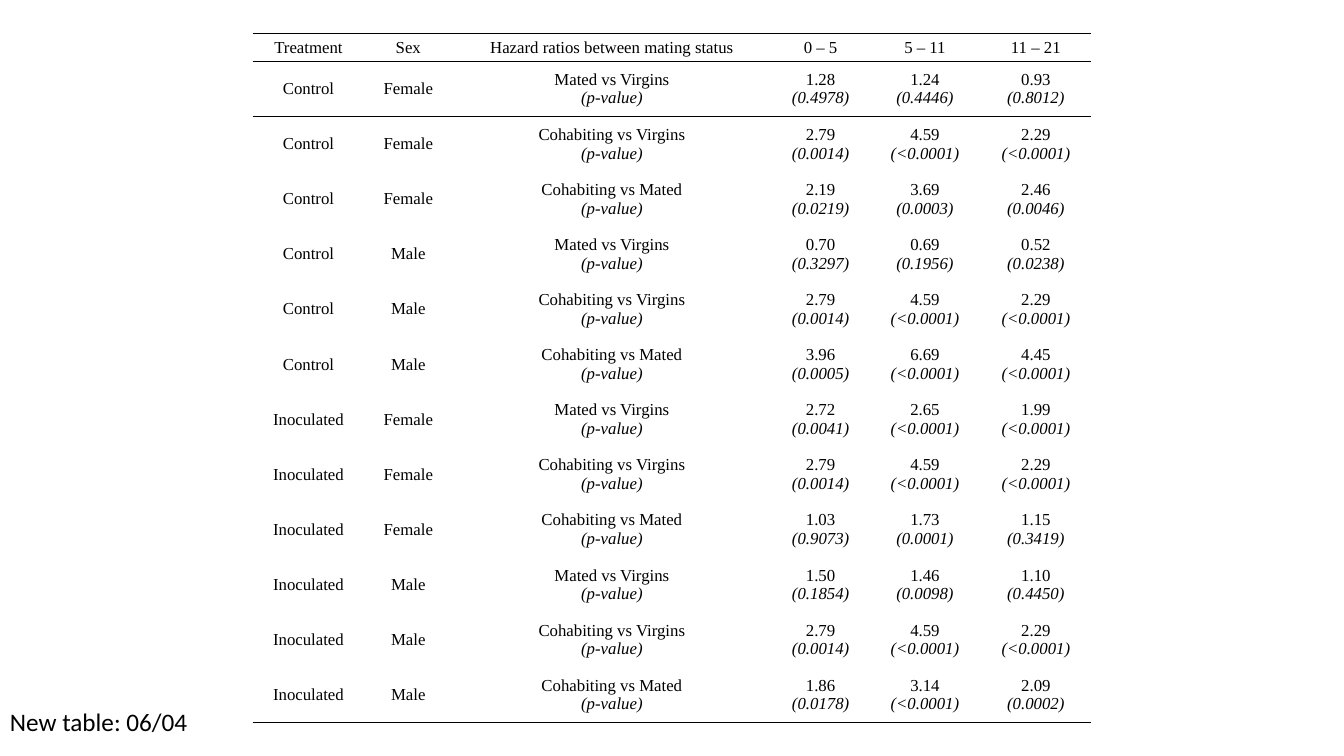
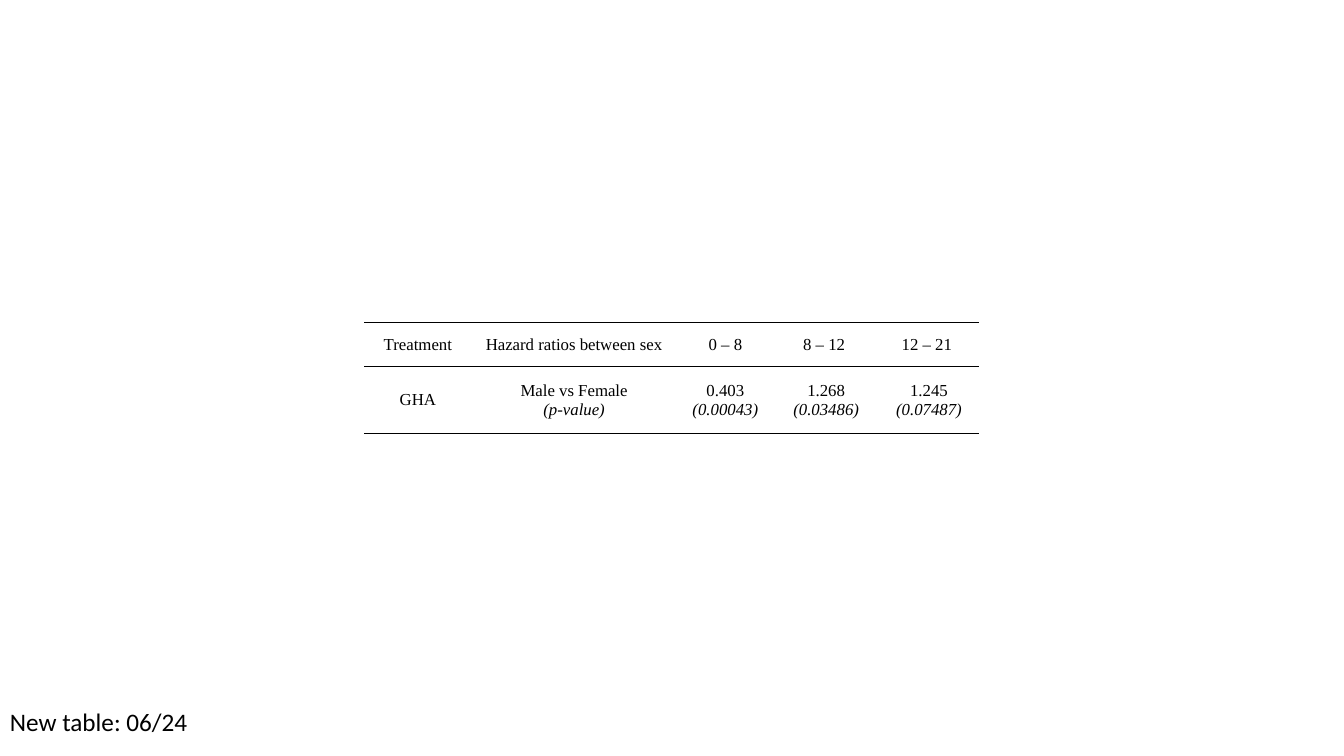
import pptx
import pptx.util
import pptx.dml.color
import pptx.enum.text
import pptx.oxml.ns
import lxml.etree
from dataclasses import dataclass

Inches, Pt = pptx.util.Inches, pptx.util.Pt


@dataclass(frozen=True)
class Theme:
    ink: str = "000000"
    table_font: str = "Times New Roman"
    table_size: int = 12
    caption_font: str = "Calibri"
    caption_size: int = 18
    rule_width: int = 1
    plain_table: str = "{2D5ABB26-0587-4C30-8999-92F81FD0307C}"


THEME = Theme()
SLIDE_W, SLIDE_H = 13.33, 7.5
CAPTION_BOX = (0, 6.96, 1.98, 0.4)
TIGHT, MEDIUM, WIDE = (0.05, 0.02), (0.07, 0.04), (0.1, 0.05)  # side, top/bottom

# Content: each result is a hazard ratio with its p-value
MATED, VIRGINS, COUPLES = "Mated vs Virgins", "Cohabiting vs Virgins", "Cohabiting vs Mated"
COHABITING_RESULTS = [("2.79", "0.0014"), ("4.59", "<0.0001"), ("2.29", "<0.0001")]

MATING_ROWS = [
    ("Control", "Female", MATED, [("1.28", "0.4978"), ("1.24", "0.4446"), ("0.93", "0.8012")]),
    ("Control", "Female", VIRGINS, COHABITING_RESULTS),
    ("Control", "Female", COUPLES, [("2.19", "0.0219"), ("3.69", "0.0003"), ("2.46", "0.0046")]),
    ("Control", "Male", MATED, [("0.70", "0.3297"), ("0.69", "0.1956"), ("0.52", "0.0238")]),
    ("Control", "Male", VIRGINS, COHABITING_RESULTS),
    ("Control", "Male", COUPLES, [("3.96", "0.0005"), ("6.69", "<0.0001"), ("4.45", "<0.0001")]),
    ("Inoculated", "Female", MATED, [("2.72", "0.0041"), ("2.65", "<0.0001"), ("1.99", "<0.0001")]),
    ("Inoculated", "Female", VIRGINS, COHABITING_RESULTS),
    ("Inoculated", "Female", COUPLES, [("1.03", "0.9073"), ("1.73", "0.0001"), ("1.15", "0.3419")]),
    ("Inoculated", "Male", MATED, [("1.50", "0.1854"), ("1.46", "0.0098"), ("1.10", "0.4450")]),
    ("Inoculated", "Male", VIRGINS, COHABITING_RESULTS),
    ("Inoculated", "Male", COUPLES, [("1.86", "0.0178"), ("3.14", "<0.0001"), ("2.09", "0.0002")]),
]
SEX_ROWS = [
    ("GHA", "Male vs Female", [("0.403", "0.00043"), ("1.268", "0.03486"), ("1.245", "0.07487")]),
]

SLIDES = [
    dict(caption="New table: 06/04",
         header=["Treatment", "Sex", "Hazard ratios between mating status",
                 "0 – 5", "5 – 11", "11 – 21"],
         rows=MATING_ROWS, columns=[1.11, 0.87, 3.17, 0.97, 1.1, 1.1],
         height=6.84, header_height=0.28, margins=TIGHT, result_margins=TIGHT),
    dict(caption="New table: 06/24",
         header=["Treatment", "Hazard ratios between sex", "0 – 8", "8 – 12 ", "12 – 21 "],
         rows=SEX_ROWS, columns=[1.06, 2.04, 0.96, 1.04, 1],
         height=1.1, header_height=0.44, margins=MEDIUM, result_margins=WIDE),
]


def add_run(paragraph, text, font, size, italic=False):
    run = paragraph.add_run()
    run.text = text
    run.font.name, run.font.size, run.font.italic = font, Pt(size), italic
    run.font.color.rgb = pptx.dml.color.RGBColor.from_string(THEME.ink)


def add_rule(cell, edge):
    """Draw a horizontal rule on a cell edge: lnT is the top, lnB the bottom."""
    qn = pptx.oxml.ns.qn
    line = lxml.etree.SubElement(cell._tc.get_or_add_tcPr(), qn(f"a:{edge}"),
                                 w=str(Pt(THEME.rule_width)))
    fill = lxml.etree.SubElement(line, qn("a:solidFill"))
    lxml.etree.SubElement(fill, qn("a:srgbClr"), val=THEME.ink)


def fill_cell(cell, lines, margins, edges):
    for edge in edges:
        add_rule(cell, edge)
    cell.fill.background()
    cell.vertical_anchor = pptx.enum.text.MSO_ANCHOR.MIDDLE
    cell.margin_left = cell.margin_right = Inches(margins[0])
    cell.margin_top = cell.margin_bottom = Inches(margins[1])
    # The second line holds the p-value, in italics
    for i, line in enumerate(lines):
        paragraph = cell.text_frame.add_paragraph() if i else cell.text_frame.paragraphs[0]
        paragraph.alignment = pptx.enum.text.PP_ALIGN.CENTER
        add_run(paragraph, line, THEME.table_font, THEME.table_size, italic=i > 0)


def row_lines(row):
    """Split a content row into the text lines of each of its cells."""
    *groups, comparison, results = row
    return ([[group] for group in groups] + [[comparison, "(p-value)"]]
            + [[ratio, f"({p})"] for ratio, p in results])


def add_hazard_table(slide, content):
    columns, height = content["columns"], content["height"]
    grid = [[[label] for label in content["header"]]] + [row_lines(r) for r in content["rows"]]
    width, last = sum(columns), len(grid) - 1

    # Centred on the slide
    frame = slide.shapes.add_table(
        len(grid), len(columns), Inches((SLIDE_W - width) / 2), Inches((SLIDE_H - height) / 2),
        Inches(width), Inches(height))
    table = frame.table
    table.horz_banding = False
    table._tbl.tblPr.find(pptx.oxml.ns.qn("a:tableStyleId")).text = THEME.plain_table

    for column, column_width in zip(table.columns, columns):
        column.width = Inches(column_width)
    body_height = (height - content["header_height"]) / last
    for r, row in enumerate(grid):
        table.rows[r].height = Inches(body_height if r else content["header_height"])
        edges = (["lnT"] if r <= 1 else []) + (["lnB"] if r in (0, last) else [])
        for c, lines in enumerate(row):
            is_result = r > 0 and c >= len(columns) - 3
            margins = content["result_margins" if is_result else "margins"]
            fill_cell(table.cell(r, c), lines, margins, edges)


def add_caption(slide, text):
    caption = slide.shapes.add_textbox(*map(Inches, CAPTION_BOX)).text_frame
    caption.word_wrap = False
    caption.auto_size = pptx.enum.text.MSO_AUTO_SIZE.SHAPE_TO_FIT_TEXT
    add_run(caption.paragraphs[0], text, THEME.caption_font, THEME.caption_size)


def main():
    deck = pptx.Presentation()
    deck.slide_width, deck.slide_height = Inches(SLIDE_W), Inches(SLIDE_H)
    blank = deck.slide_layouts.get_by_name("Blank")
    for content in SLIDES:
        slide = deck.slides.add_slide(blank)
        add_hazard_table(slide, content)
        add_caption(slide, content["caption"])
    deck.save("out.pptx")


if __name__ == "__main__":
    main()
